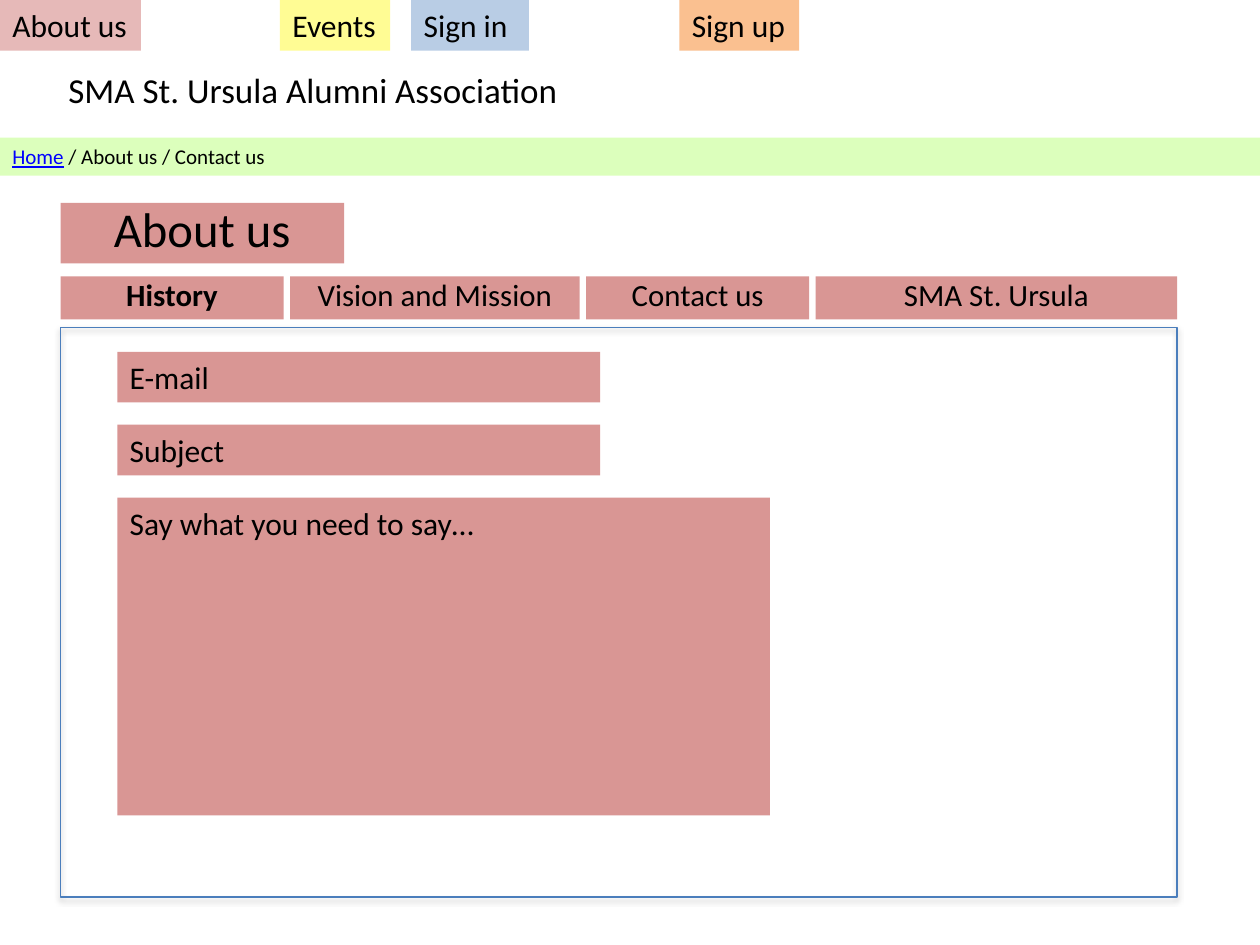
"""Build the contact page mock-up of an alumni association website as one slide."""
import dataclasses

import lxml.etree
import pptx
import pptx.dml.color
import pptx.enum.shapes
import pptx.enum.text
import pptx.oxml.ns
import pptx.util

Pt = pptx.util.Pt
ALIGN = pptx.enum.text.PP_ALIGN
ANCHOR = pptx.enum.text.MSO_ANCHOR
qn = pptx.oxml.ns.qn


@dataclasses.dataclass(frozen=True)
class Theme:
    font: str = "Calibri"
    ink: str = "000000"
    link: str = "0000FF"
    rose: str = "D99694"
    pink: str = "E6B9B8"
    yellow: str = "FFFC94"
    blue: str = "B9CDE5"
    orange: str = "FAC090"
    green: str = "A3FF4F"
    outline: str = "4B7EBC"
    title_size: float = 27.8
    name_size: float = 20
    body_size: float = 18
    tab_size: float = 17.6
    crumb_size: float = 12


THEME = Theme()
SLIDE_WIDTH, SLIDE_HEIGHT = 720, 540
MARGIN = 34.6
PANEL_WIDTH = 638


def rgb(value):
    return pptx.dml.color.RGBColor.from_string(value)


def paint(shape, color):
    shape.fill.solid()
    shape.fill.fore_color.rgb = rgb(color)


def write(shape, parts, size, centered=False, wrap=True):
    frame = shape.text_frame
    frame.auto_size = pptx.enum.text.MSO_AUTO_SIZE.NONE
    frame.word_wrap = wrap
    frame.vertical_anchor = ANCHOR.MIDDLE if centered else ANCHOR.TOP
    paragraph = frame.paragraphs[0]
    paragraph.alignment = ALIGN.CENTER if centered else ALIGN.LEFT
    if centered:
        paragraph.line_spacing = 0.8
    for part in parts:
        run = paragraph.add_run()
        run.text = part
        run.font.name = THEME.font
        run.font.size = Pt(size)
        run.font.color.rgb = rgb(THEME.ink)
    return paragraph.runs


def add_box(slide, left, top, width, height, color):
    box = slide.shapes.add_shape(
        pptx.enum.shapes.MSO_SHAPE.RECTANGLE, Pt(left), Pt(top), Pt(width), Pt(height))
    box.shadow.inherit = False
    box.line.fill.background()
    if color:
        paint(box, color)
    else:
        box.fill.background()
    return box


def add_title(slide):
    title = slide.shapes.title
    title.left, title.top = Pt(MARGIN), Pt(116)
    title.width, title.height = Pt(162), Pt(34.5)
    paint(title, THEME.rose)
    write(title, ["About us"], THEME.title_size, centered=True)


def add_panel(slide):
    panel = add_box(slide, MARGIN, 187.2, PANEL_WIDTH, 325.4, None)
    panel.line.color.rgb = rgb(THEME.outline)
    panel.line.width = Pt(0.75)
    effects = panel.element.spPr.find(qn("a:effectLst"))
    shadow = lxml.etree.SubElement(
        effects, qn("a:outerShdw"), blurRad=str(Pt(3.1)), dist=str(Pt(1.8)),
        dir="5400000", rotWithShape="0")
    color = lxml.etree.SubElement(shadow, qn("a:srgbClr"), val=THEME.ink)
    lxml.etree.SubElement(color, qn("a:alpha"), val="35000")


def add_form(slide):
    fields = [("E-mail", 276, 29), ("Subject", 276, 29),
              ("Say what you need to say…", 373, 181.6)]
    for row, (label, width, height) in enumerate(fields):
        field = add_box(slide, 67, 201 + row * 41.7, width, height, THEME.rose)
        write(field, [label], THEME.body_size)


def add_breadcrumb(slide):
    band = add_box(slide, 0, 78.6, SLIDE_WIDTH, 21.8, THEME.green)
    color = band.element.spPr.find(qn("a:solidFill"))[0]
    lxml.etree.SubElement(color, qn("a:alpha"), val="38000")
    home = write(band, ["Home", " / About us / Contact us"], THEME.crumb_size)[0]
    home.font.color.rgb = rgb(THEME.link)
    home.font.underline = True


def add_association_name(slide):
    name = slide.shapes.add_textbox(Pt(32), Pt(35.5), Pt(304), Pt(31.5))
    write(name, ["SMA St. Ursula Alumni Association"], THEME.name_size)


def add_menu(slide):
    entries = [("About us", 0, 80.6, THEME.pink), ("Events", 160, 63, THEME.yellow),
               ("Sign in", 235, 67.2, THEME.blue), ("Sign up", 388.2, 68.4, THEME.orange)]
    for label, left, width, color in entries:
        entry = add_box(slide, left, 0, width, 29, color)
        write(entry, [label], THEME.body_size, wrap=False)


def add_tabs(slide):
    tabs = [("History", 127.5), ("Vision and Mission", 165.5),
            ("Contact us", 127.5), ("SMA St. Ursula", 206.5)]
    gap = (PANEL_WIDTH - sum(width for _, width in tabs)) / (len(tabs) - 1)
    left = MARGIN
    for label, width in tabs:
        tab = add_box(slide, left, 158, width, 24.6, THEME.rose)
        run = write(tab, [label], THEME.tab_size, centered=True)[0]
        run.font.bold = label == "History"
        left += width + gap


def main():
    deck = pptx.Presentation()
    deck.slide_width, deck.slide_height = Pt(SLIDE_WIDTH), Pt(SLIDE_HEIGHT)
    slide = deck.slides.add_slide(deck.slide_layouts.get_by_name("Title Only"))
    add_title(slide)
    add_panel(slide)
    add_form(slide)
    add_breadcrumb(slide)
    add_association_name(slide)
    add_menu(slide)
    add_tabs(slide)
    deck.save("out.pptx")


if __name__ == "__main__":
    main()
